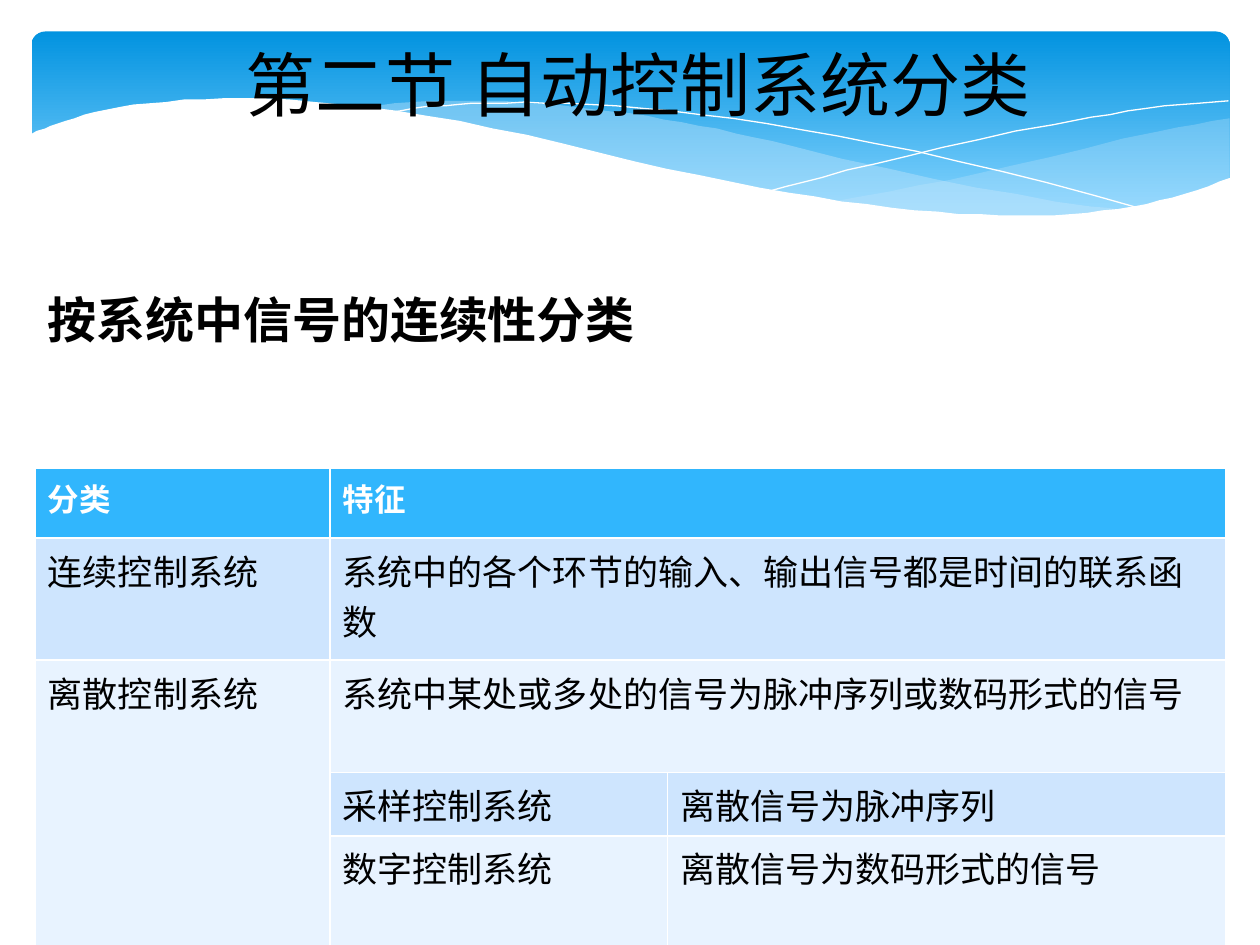
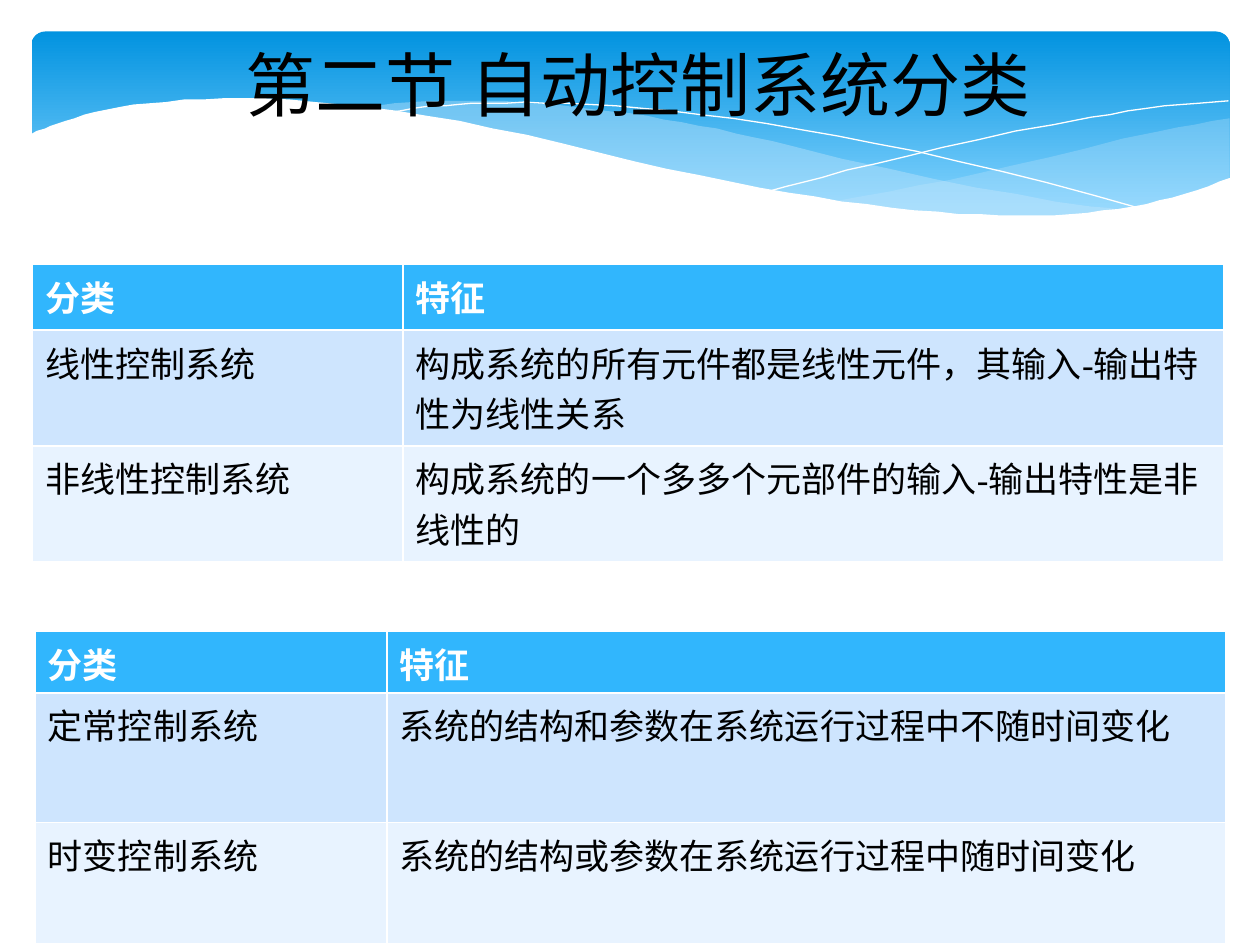
from lxml import etree
from pptx import Presentation
from pptx.dml.color import RGBColor
from pptx.enum import shapes, text
from pptx.oxml.ns import qn
from pptx.util import Pt

PX = 9144
CJK = "Noto Sans CJK SC"
LATIN = "Times New Roman"
WHITE, BLACK, HEADER = "FFFFFF", "000000", "31B6FD"
BANDS = ["CEE5FE", "E8F3FF"]

right_wave = [
    (975, 94), (962, 96), (948, 99), (935, 101), (921, 104), (906, 107), (891, 110),
    (876, 114), (861, 118), (832, 125), (805, 131), (779, 137), (753, 143), (729, 147),
    (706, 152), (683, 156), (661, 160), (676, 162), (691, 164), (705, 166), (718, 167),
    (732, 168), (745, 169), (757, 170), (769, 171), (781, 172), (803, 172), (824, 172),
    (835, 172), (844, 171), (854, 170), (863, 170), (872, 169), (881, 167), (889, 166),
    (897, 165), (905, 163), (913, 162), (921, 160), (928, 158), (935, 156), (942, 154),
    (949, 152), (963, 147), (975, 142), (976, 141), (976, 94)]
middle_wave = [
    (893, 167), (879, 165), (866, 164), (837, 160), (807, 154), (775, 149), (741, 142),
    (706, 134), (668, 126), (629, 116), (613, 112), (598, 109), (584, 106), (569, 102),
    (555, 100), (541, 97), (527, 95), (514, 92), (501, 90), (489, 89), (464, 86),
    (441, 83), (420, 82), (399, 80), (380, 80), (361, 80), (344, 80), (328, 81),
    (313, 82), (299, 84), (286, 86), (304, 88), (323, 90), (342, 94), (362, 97),
    (383, 101), (404, 106), (427, 110), (449, 116), (491, 126), (530, 135), (566, 143),
    (584, 146), (601, 150), (618, 153), (634, 156), (650, 158), (665, 161), (680, 163),
    (695, 165), (709, 166), (722, 168), (736, 169), (748, 170), (761, 171), (773, 172),
    (785, 172), (796, 173), (818, 173), (828, 173), (838, 172), (848, 172), (857, 171),
    (867, 170), (876, 169), (884, 168)]
falling_line = [
    (309, 90), (311, 89), (318, 88), (328, 86), (335, 85), (343, 84), (353, 84),
    (363, 83), (374, 82), (387, 82), (401, 82), (416, 81), (433, 82), (450, 82),
    (469, 83), (489, 84), (510, 86), (532, 88), (556, 91), (582, 94), (608, 98),
    (636, 103), (665, 108), (695, 114), (727, 120), (760, 128), (795, 136), (831, 145),
    (868, 155), (907, 166)]
rising_line = [
    (613, 151), (624, 148), (652, 141), (672, 135), (695, 130), (720, 124), (748, 117),
    (776, 111), (806, 104), (836, 99), (866, 93), (881, 91), (895, 88), (910, 86),
    (924, 84), (937, 83), (951, 82), (963, 81), (975, 80)]
white_wave = [
    (977, 141), (968, 144), (959, 148), (950, 151), (940, 154), (930, 157), (920, 159),
    (910, 162), (899, 164), (887, 166), (875, 167), (863, 169), (850, 170), (837, 171),
    (823, 171), (809, 171), (793, 171), (778, 170), (761, 170), (744, 168), (726, 167),
    (708, 165), (688, 162), (668, 160), (647, 156), (626, 153), (603, 149), (579, 144),
    (555, 139), (529, 134), (503, 128), (475, 121), (447, 114), (418, 107), (391, 102),
    (365, 96), (339, 92), (315, 88), (292, 85), (271, 83), (250, 81), (230, 79),
    (211, 78), (193, 78), (177, 78), (161, 79), (146, 79), (132, 81), (119, 82),
    (106, 83), (95, 85), (85, 87), (75, 89), (67, 91), (59, 94), (52, 96), (46, 98),
    (40, 100), (36, 102), (29, 104), (24, 107), (23, 107), (23, 224), (977, 224)]

waves = [(right_wave, "C6E7FC", 29), (middle_wave, "C6E7FC", 40),
         (falling_line, None, 100), (rising_line, None, 100), (white_wave, WHITE, 100)]

title = ("第二节 自动控制系统分类", (185, 28, 740, 77), 40, False)
subtitle = ("按系统中信号的连续性分类", (28, 225, 816, 57), 28, True)

signal_table = dict(
    at=(28, 372), cols=[234, 268, 443], rows=[55, 97, 89, 49, 87], head=18,
    cells=[["分类", "特征", ""],
           ["连续控制系统", "系统中的各个环节的输入、输出信号都是时间的联系函数", ""],
           ["离散控制系统", "系统中某处或多处的信号为脉冲序列或数码形式的信号", ""],
           ["", "采样控制系统", "离散信号为脉冲序列"],
           ["", "数字控制系统", "离散信号为数码形式的信号"]],
    merges=[(0, 1, 0, 2), (1, 1, 1, 2), (2, 1, 2, 2), (2, 0, 4, 0)])
linear_table = dict(
    at=(26, 210), cols=[294, 651], rows=[52, 92, 92], head=20,
    cells=[["分类", "特征"],
           ["线性控制系统", "构成系统的所有元件都是线性元件，其输入-输出特性为线性关系"],
           ["非线性控制系统", "构成系统的一个多多个元部件的输入-输出特性是非线性的"]],
    merges=[])
time_table = dict(
    at=(28, 501), cols=[279, 666], rows=[49, 103, 96], head=20,
    cells=[["分类", "特征"],
           ["定常控制系统", "系统的结构和参数在系统运行过程中不随时间变化"],
           ["时变控制系统", "系统的结构或参数在系统运行过程中随时间变化"]],
    merges=[])

pages = [([signal_table], [subtitle, title]), ([linear_table, time_table], [title])]


def rgb(value):
    return RGBColor.from_string(value)


def style(p, size, color, bold, latin):
    for r in p.runs:
        r.font.size = Pt(size)
        r.font.bold = bold
        r.font.color.rgb = rgb(color)
        r.font.name = latin
        etree.SubElement(r.font._element, qn("a:ea"), typeface=CJK)


prs = Presentation()
prs.slide_width, prs.slide_height = 1000 * PX, 750 * PX

for tables, labels in pages:
    s = prs.slides.add_slide(prs.slide_layouts[6])

    band = s.shapes.add_shape(shapes.MSO_SHAPE.ROUNDED_RECTANGLE,
                              25 * PX, 25 * PX, 951 * PX, 156 * PX)
    band.adjustments[0] = 0.07
    band.shadow.inherit = False
    band.line.fill.background()
    band.fill.gradient()
    band.fill.gradient_angle = 270
    for stop, color, pos in zip(band.fill.gradient_stops, ["0293E0", "83D3FE"], [0, 0.9]):
        stop.color.rgb = rgb(color)
        stop.position = pos

    for points, color, opacity in waves:
        builder = s.shapes.build_freeform(*points[0], scale=PX)
        builder.add_line_segments(points[1:], close=color is not None)
        sp = builder.convert_to_shape()
        sp.shadow.inherit = False
        if color is None:
            sp.fill.background()
            sp.line.color.rgb = rgb(WHITE)
            sp.line.width = 0
            continue
        sp.line.fill.background()
        sp.fill.solid()
        sp.fill.fore_color.rgb = rgb(color)
        if opacity < 100:
            clr = sp._element.spPr.find(qn("a:solidFill"))[0]
            etree.SubElement(clr, qn("a:alpha"), val=str(opacity * 1000))

    for spec_table in tables:
        cols, rows = spec_table["cols"], spec_table["rows"]
        x, y = spec_table["at"]
        tbl = s.shapes.add_table(len(rows), len(cols), x * PX, y * PX,
                                 sum(cols) * PX, sum(rows) * PX).table
        for col, width in zip(tbl.columns, cols):
            col.width = width * PX
        for row, height in zip(tbl.rows, rows):
            row.height = height * PX
        for i, line in enumerate(spec_table["cells"]):
            for j, words in enumerate(line):
                cell = tbl.cell(i, j)
                cell.fill.solid()
                cell.fill.fore_color.rgb = rgb(BANDS[(i - 1) % 2] if i else HEADER)
                cell.text_frame.text = words
                style(cell.text_frame.paragraphs[0], 20 if i else spec_table["head"],
                      BLACK if i else WHITE, i == 0, LATIN)
        for top, left, bottom, right in spec_table["merges"]:
            tbl.cell(top, left).merge(tbl.cell(bottom, right))

    for words, box, size, bold in labels:
        tf = s.shapes.add_textbox(*[v * PX for v in box]).text_frame
        tf.word_wrap = True
        tf.vertical_anchor = text.MSO_ANCHOR.MIDDLE
        tf.text = words
        style(tf.paragraphs[0], size, BLACK, bold, CJK)

prs.save("out.pptx")
